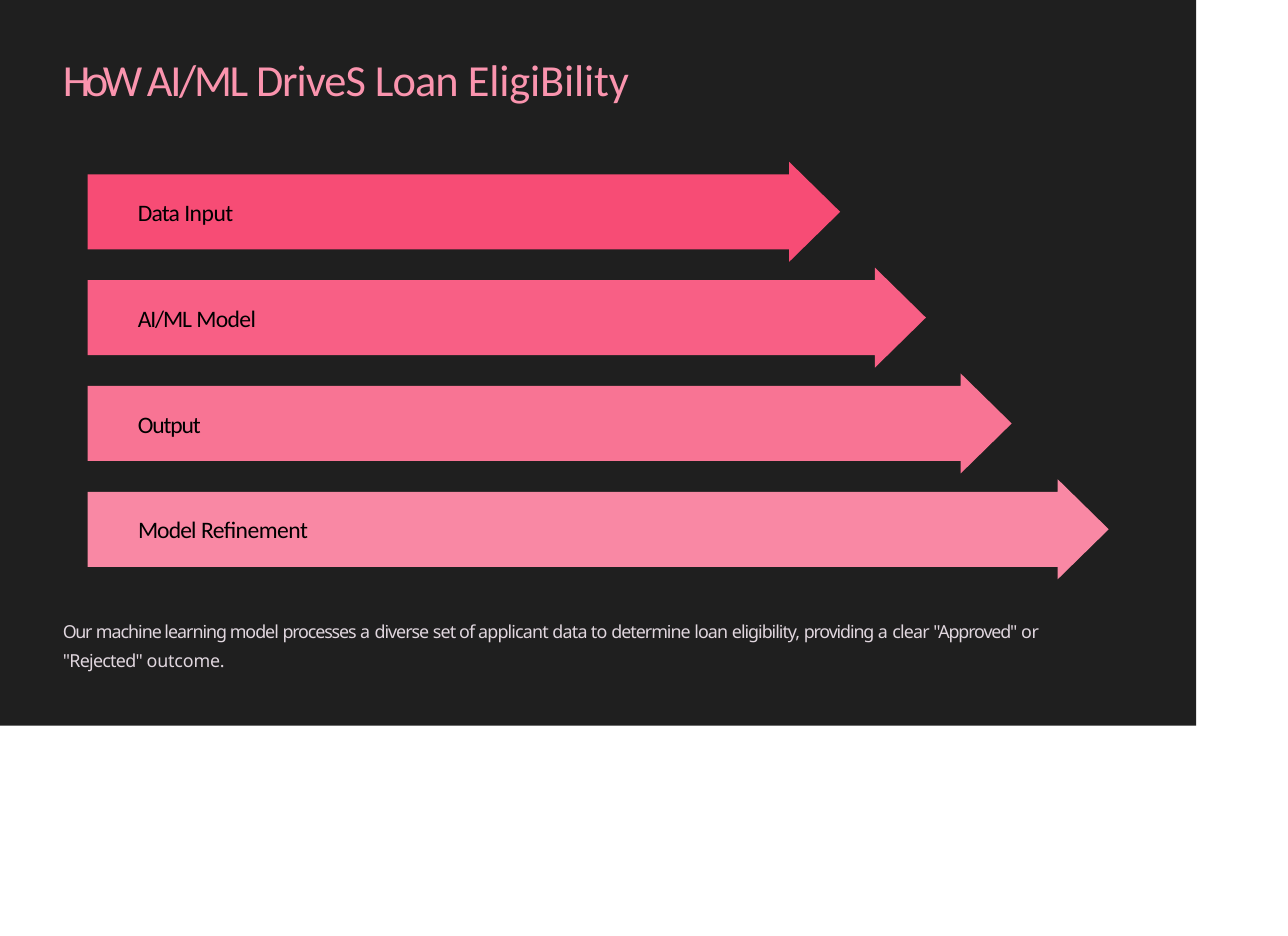
from dataclasses import dataclass

from pptx import Presentation
from pptx.dml.color import RGBColor
from pptx.enum.shapes import MSO_SHAPE as Shape
from pptx.util import Inches, Pt


@dataclass(frozen=True)
class Theme:
    panel: str = "1F1F1F"
    title: str = "FA94AE"
    label: str = "000000"
    body: str = "E0D6DE"
    heading_font: str = "Calibri"
    body_font: str = "Noto Sans"
    title_size: float = 31
    label_size: float = 16.5
    body_size: float = 12.5


@dataclass(frozen=True)
class Box:
    left: float
    top: float
    width: float
    height: float

    def inner(self, left, top, width, height):
        """Return an inner box given in percent of this one."""
        return Box(self.left + self.width * left / 100,
                   self.top + self.height * top / 100,
                   self.width * width / 100,
                   self.height * height / 100)

    def place(self):
        return [Inches(n) for n in (self.left, self.top, self.width, self.height)]


THEME = Theme()
PAGE = Box(0, 0, 12.5, 9.08)

# Text pieces with their letter spacing in points
TITLE = [("HoW ", -3.8), ("AI/ML ", -1.6), ("DriveS ", -0.7),
         ("Loan ", -0.6), ("EligiBility", -0.1)]
SUMMARY = [("Our ", -0.9), ("machine learning model ", -0.7), ("processes ", -0.8),
           ("a ", -0.1), ("diverse ", -0.7), ("set of applicant ", -0.6),
           ("data to ", -0.5), ("determine ", -0.7), ("loan ", -0.6),
           ("eligibility, ", -0.7), ("providing ", -0.8), ("a ", -0.1),
           ("clear ", -0.6), ('"Approved" ', -0.8), ("or ", -0.2),
           ('"Rejected" ', -0.5), ("outcome.", -0.1)]

# Fill, arrow length and label width (percent of the region), label
STEPS = [
    ("F74C75", 73.7, 9.6, [("Data ", -0.6), ("Input", -0.3)]),
    ("F85F85", 82.1, 11.8, [("AI/ML ", -0.8), ("Model", -0.4)]),
    ("F87494", 90.5, 6.3, [("Output", -0.8)]),
    ("F988A4", 100, 17, [("Model ", -0.6), ("Refinement", -0.3)]),
]


def add_filled(slide, kind, box, color):
    shape = slide.shapes.add_shape(kind, *box.place())
    shape.shadow.inherit = False
    shape.fill.solid()
    shape.fill.fore_color.rgb = RGBColor.from_string(color)
    shape.line.fill.background()
    return shape


def add_text(slide, box, pieces, font, size, color, before, inset=0.02):
    frame = slide.shapes.add_textbox(*box.place()).text_frame
    frame.word_wrap = True
    frame.margin_left = Inches(0.01)
    frame.margin_top = Inches(inset)
    frame.margin_right = frame.margin_bottom = 0
    paragraph = frame.paragraphs[0]
    paragraph.space_before = Pt(before)
    paragraph.font.name = font
    paragraph.font.size = Pt(size)
    paragraph.font.color.rgb = RGBColor.from_string(color)
    for text, spacing in pieces:
        run = paragraph.add_run()
        run.text = text
        run._r.get_or_add_rPr().set("spc", str(round(spacing * 100)))
    return paragraph


def add_title(slide, box):
    add_text(slide, box, TITLE, THEME.heading_font, THEME.title_size,
             THEME.title, before=1.4)


def add_steps(slide, box):
    row_height = 23.95
    pitch = (100 - row_height) / (len(STEPS) - 1)
    for index, (color, length, label_width, label) in enumerate(STEPS):
        row = box.inner(0, index * pitch, 100, row_height)
        arrow = add_filled(slide, Shape.RIGHT_ARROW, row.inner(0, 0, length, 100), color)
        arrow.adjustments[0] = 0.75  # shaft thickness
        arrow.adjustments[1] = 0.51  # head length
        add_text(slide, row.inner(4.84, 34, label_width, 32), label,
                 THEME.heading_font, THEME.label_size, THEME.label, before=1.3)


def add_summary(slide, box):
    paragraph = add_text(slide, box, SUMMARY, THEME.body_font, THEME.body_size,
                         THEME.body, before=0.9, inset=0.01)
    paragraph.line_spacing = 1.35


def main():
    presentation = Presentation()
    presentation.slide_width = Inches(PAGE.width)
    presentation.slide_height = Inches(PAGE.height)
    slide = presentation.slides.add_slide(presentation.slide_layouts[6])

    # Dark panel behind everything
    add_filled(slide, Shape.RECTANGLE, PAGE.inner(0, 0, 92.88, 77.53), THEME.panel)
    # Content from top to bottom
    add_title(slide, PAGE.inner(4.8, 5.4, 44.16, 6.06))
    add_steps(slide, PAGE.inner(6.8, 17.29, 79.28, 44.6))
    add_summary(slide, PAGE.inner(4.8, 65.42, 79.12, 6.5))

    presentation.save("out.pptx")


if __name__ == "__main__":
    main()
